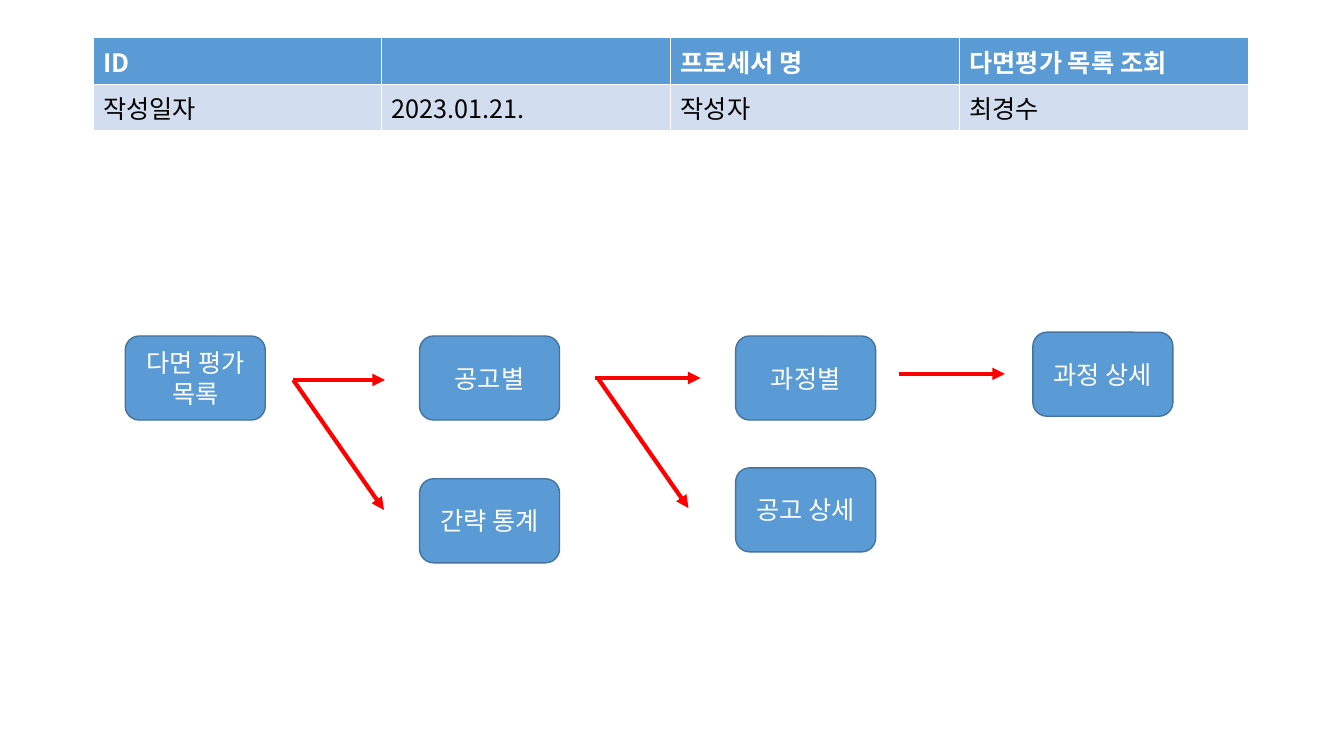
from lxml import etree
from pptx import Presentation
from pptx.dml.color import RGBColor
from pptx.enum.shapes import MSO_CONNECTOR, MSO_SHAPE
from pptx.enum.text import MSO_ANCHOR, PP_ALIGN
from pptx.oxml.ns import qn
from pptx.util import Pt

ROUNDED = MSO_SHAPE.ROUNDED_RECTANGLE
STRAIGHT = MSO_CONNECTOR.STRAIGHT
MIDDLE = MSO_ANCHOR.MIDDLE
CENTER = PP_ALIGN.CENTER

FONT = "Noto Sans CJK KR"
BLUE = RGBColor(0x5B, 0x9B, 0xD5)
DARK_BLUE = RGBColor(0x43, 0x73, 0x9E)
PALE_BLUE = RGBColor(0xD2, 0xDE, 0xEF)
RED = RGBColor(0xFF, 0x00, 0x00)
WHITE = RGBColor(0xFF, 0xFF, 0xFF)
BLACK = RGBColor(0x00, 0x00, 0x00)

BOX_WIDTH, BOX_HEIGHT = 100, 60
TOP_ROW = 240
COLUMN_WIDTH = 206.3
ROW_HEIGHTS = (31, 29.5)

TABLE_ROWS = [
    ("ID", "", "프로세서 명", "다면평가 목록 조회"),
    ("작성일자", "2023.01.21.", "작성자", "최경수"),
]
STEPS = [
    ("다면 평가\n목록", 89.5, TOP_ROW),
    ("공고별", 299.7, TOP_ROW),
    ("간략 통계", 299.7, 342),
    ("과정별", 525.5, TOP_ROW),
    ("공고 상세", 525.5, 334.2),
    ("과정 상세", 737.8, 237.3),
]
ARROWS = [
    (209.5, 271.4, 275, 271.4),
    (209.5, 271.4, 274.3, 364.3),
    (424.8, 270, 500.4, 270),
    (427, 270, 491.8, 362.9),
    (642.2, 267.1, 717.8, 267.1),
]


def style_paragraph(para, color, bold=False):
    """Give a paragraph its font for Latin and Korean text."""
    font = para.font
    font.name = FONT
    font.size = Pt(18)
    font.bold = bold
    font.color.rgb = color
    properties = para._p.get_or_add_pPr().get_or_add_defRPr()
    etree.SubElement(properties, qn("a:ea"), typeface=FONT)


def add_header_table(page):
    """Add the document information table."""
    frame = page.shapes.add_table(
        len(TABLE_ROWS), len(TABLE_ROWS[0]), Pt(66.5), Pt(27),
        Pt(COLUMN_WIDTH * len(TABLE_ROWS[0])), Pt(sum(ROW_HEIGHTS)))
    table = frame.table
    for column in table.columns:
        column.width = Pt(COLUMN_WIDTH)
    for index, texts in enumerate(TABLE_ROWS):
        table.rows[index].height = Pt(ROW_HEIGHTS[index])
        is_header = index == 0
        for cell, text in zip(table.rows[index].cells, texts):
            cell.text = text
            cell.fill.solid()
            cell.fill.fore_color.rgb = BLUE if is_header else PALE_BLUE
            style_paragraph(cell.text_frame.paragraphs[0],
                            WHITE if is_header else BLACK, is_header)


def add_step(page, text, left, top):
    """Add a rounded box for one step of the process."""
    box = page.shapes.add_shape(
        ROUNDED, Pt(left), Pt(top), Pt(BOX_WIDTH), Pt(BOX_HEIGHT))
    box.shadow.inherit = False
    box.fill.solid()
    box.fill.fore_color.rgb = BLUE
    box.line.color.rgb = DARK_BLUE
    box.line.width = Pt(1)
    frame = box.text_frame
    frame.word_wrap = True
    frame.vertical_anchor = MIDDLE
    frame.text = text
    for para in frame.paragraphs:
        para.alignment = CENTER
        style_paragraph(para, WHITE)


def add_arrow(page, *ends):
    """Add a red arrow between two points."""
    arrow = page.shapes.add_connector(STRAIGHT, *map(Pt, ends))
    arrow.line.color.rgb = RED
    arrow.line.width = Pt(3)
    etree.SubElement(arrow.line._get_or_add_ln(), qn("a:tailEnd"), type="triangle")
    etree.SubElement(arrow._element.spPr, qn("a:effectLst"))


def main():
    """Build the process slide and save it."""
    deck = Presentation()
    deck.slide_width, deck.slide_height = Pt(960), Pt(540)
    page = deck.slides.add_slide(deck.slide_layouts[6])
    add_header_table(page)
    for step in STEPS:
        add_step(page, *step)
    for arrow in ARROWS:
        add_arrow(page, *arrow)
    deck.save("out.pptx")


if __name__ == "__main__":
    main()
